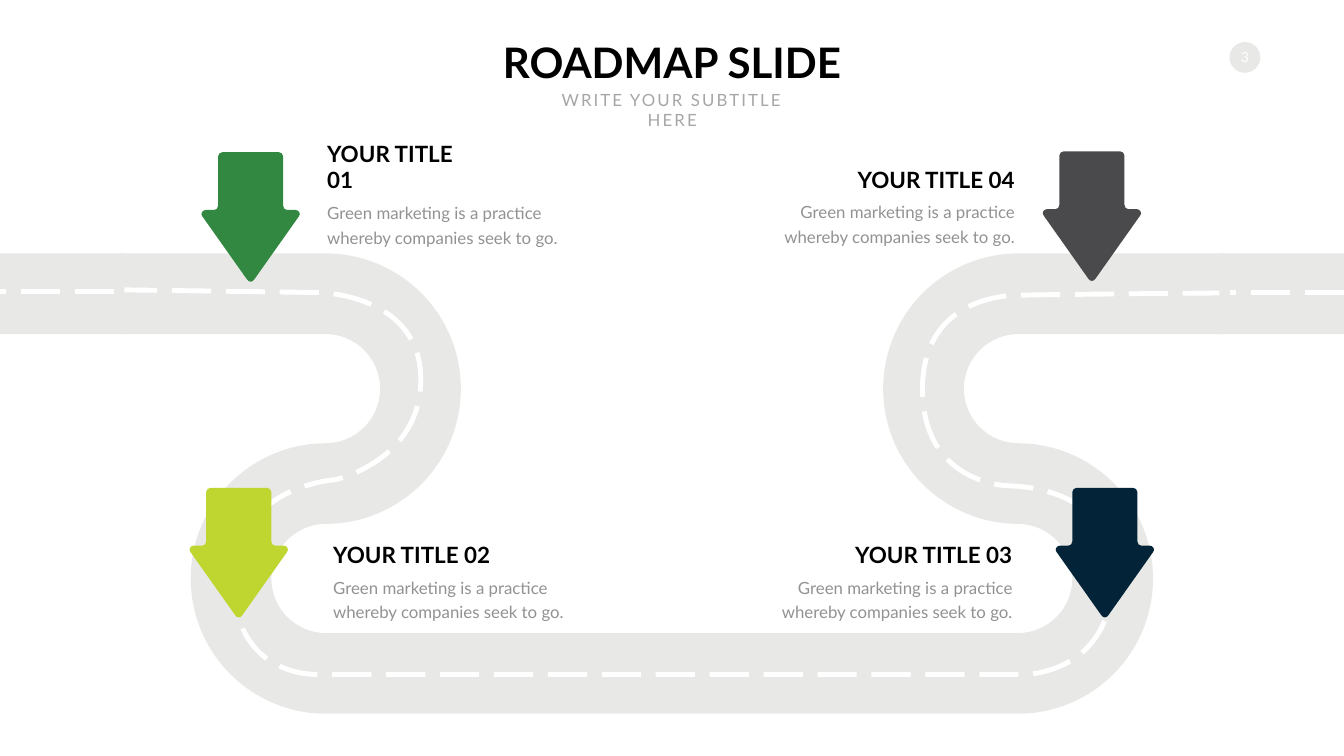
from math import cos, radians, sin, tan

from lxml import etree
from pptx import Presentation
from pptx.dml.color import RGBColor
from pptx.enum.dml import MSO_LINE
from pptx.enum.shapes import MSO_CONNECTOR, MSO_SHAPE
from pptx.enum.text import MSO_ANCHOR, PP_ALIGN
from pptx.oxml.ns import qn
from pptx.util import Pt

LEFT, MID, RIGHT = PP_ALIGN.LEFT, PP_ALIGN.CENTER, PP_ALIGN.RIGHT
TOP, CENTER, BOTTOM = MSO_ANCHOR.TOP, MSO_ANCHOR.MIDDLE, MSO_ANCHOR.BOTTOM
DASH = MSO_LINE.LONG_DASH
STRAIGHT = MSO_CONNECTOR.STRAIGHT
RECT, OVAL = MSO_SHAPE.RECTANGLE, MSO_SHAPE.OVAL


class Theme:
    font = "Lato"
    road, white, black = "E8E9E6", "FFFFFF", "000000"
    sub, body = "A6A6A6", "929294"
    green, lime, navy, gray = "328840", "BED62F", "022338", "4A4A4C"
    title_pt, head_pt, text_pt, page_pt = 60, 32, 24, 20
    dash_pt = 7


def trace(points, kinds, closed):
    """Draw a path; each kind is 1 for a line or 3 for a cubic curve."""
    spots = [(Pt(x), Pt(y)) for x, y in points]
    pen = slide.shapes.build_freeform(*spots[0], scale=1.0)
    pen.add_line_segments(spots[1:], close=closed)
    shape = pen.convert_to_shape()
    path = shape._element.find(".//" + qn("a:path"))
    lines = path.findall(qn("a:lnTo"))
    at = 0
    for kind in kinds:
        if kind == 3:
            curve = etree.Element(qn("a:cubicBezTo"))
            lines[at].addprevious(curve)
            for line in lines[at:at + 3]:
                curve.append(line[0])
                path.remove(line)
        at += kind
    return shape


def write(shape, text, size, color, align, anchor=TOP, bold=False):
    frame = shape.text_frame
    frame.word_wrap = True
    frame.vertical_anchor = anchor
    para = frame.paragraphs[0]
    para.alignment = align
    run = para.add_run()
    run.text = text
    run.font.name = Theme.font
    run.font.size = Pt(size)
    run.font.bold = bold
    run.font.color.rgb = RGBColor.from_string(color)
    return para


deck = Presentation()
deck.slide_width, deck.slide_height = Pt(1919.5), Pt(1080)
slide = deck.slides.add_slide(deck.slide_layouts[5])
shapes = slide.shapes

# Title, subtitle and page badge
title = shapes.title
title.left, title.top, title.width, title.height = Pt(708.5), Pt(48), Pt(502.5), Pt(80)
write(title, "ROADMAP SLIDE", Theme.title_pt, Theme.black, MID, CENTER, True)
sub = shapes.add_textbox(Pt(764.6), Pt(124.2), Pt(391), Pt(36))
para = write(sub, "WRITE YOUR SUBTITLE HERE", Theme.text_pt, Theme.sub, MID)
para.runs[0].font._element.set("spc", "300")

badge = shapes.add_shape(OVAL, Pt(1756), Pt(60), Pt(44), Pt(44))
badge.text_frame.margin_left = badge.text_frame.margin_right = 0
write(badge, "3", Theme.page_pt, Theme.white, MID, CENTER)
solids = [(badge, Theme.road)]

# Road outline: there along one edge, back along the other
high, low, wide, tight = 555.2, 826.4, 193.2, 78
start, end = 168.5, 1750.5
bends = [
    (465, high, wide, -90, 90), (465.6, low, tight, 270, 90),
    (1453.6, low, tight, 90, -90), (1454.6, high, wide, 90, 270),
    (1454.6, high, tight, 270, 90), (1453.6, low, wide, -90, 90),
    (465.6, low, wide, 90, 270), (465, high, tight, 90, -90),
]
parts = 8
road, kinds = [(start, high - wide)], []
for i, (cx, cy, r, a, b) in enumerate(bends):
    if i == 4:
        road += [(end, high - wide), (end, high - tight)]
        kinds += [1, 1]
    step = radians(b - a) / parts
    reach = 4 / 3 * tan(step / 4)
    road.append((cx + r * cos(radians(a)), cy + r * sin(radians(a))))
    kinds += [1] + [3] * parts
    for n in range(parts):
        p = radians(a) + n * step
        q = p + step
        for c, s in [(cos(p) - reach * sin(p), sin(p) + reach * cos(p)),
                     (cos(q) + reach * sin(q), sin(q) - reach * cos(q)),
                     (cos(q), sin(q))]:
            road.append((cx + r * c, cy + r * s))
road.append((start, high - tight))
kinds.append(1)
solids.append((trace(road, kinds, True), Theme.road))

# Centre line: each row holds two handles and an end point
lane = [
    (168.5, 414),
    (169, 414), (461.5, 418), (462, 418),
    (463, 419), (600.5, 423), (601, 541.5),
    (601, 659), (478, 685.5), (478, 685.5),
    (478, 685), (331, 696), (333.5, 831.5),
    (335.5, 967.5), (450.5, 963.5), (452, 963.5),
    (454.5, 963.5), (1461, 963.5), (1464.5, 963.5),
    (1467.5, 963.5), (1587.5, 960.5), (1589, 824.5),
    (1590.5, 688.5), (1440, 695), (1438.5, 694),
    (1437.5, 693.5), (1317, 691), (1317.5, 554.5),
    (1318.5, 418.5), (1451.5, 422), (1453, 422),
    (1453.5, 421), (1751, 418.5), (1751, 418.5),
]
mark = trace(lane, [3] * (len(lane) // 3), False)
mark.fill.background()
mark.shadow.inherit = False
dashed = [mark]

# Arrow: right half, tip, then the mirrored half
half = [
    (40.5, 0), (43.5, 0), (46.5, 2.5), (46.5, 6),
    (46.5, 76.5), (46.5, 80), (49, 82.5), (52, 82.5),
    (64, 82.5), (69, 82.5), (72, 88), (69, 91.5),
    (5, 182),
]
arrow = half + [(2.5, 186), (-2.5, 186)] + [(-x, y) for x, y in reversed(half)]
turns = [3, 1] * 3 + [3] + [1, 3] * 3

# Stops: arrow centre and top, colour, label, text edge, body top, head width, side
stops = [
    (358, 217.5, Theme.green, "YOUR TITLE 01", 460.2, 279.8, 232.5, LEFT),
    (341, 697, Theme.lime, "YOUR TITLE 02", 468.8, 815.5, 239, LEFT),
    (1578, 697, Theme.navy, "YOUR TITLE 03", 1453, 815.5, 240.5, RIGHT),
    (1559.5, 216.3, Theme.gray, "YOUR TITLE 04", 1456.5, 278.6, 242.5, RIGHT),
]
for cx, top, color, *rest in stops:
    shape = trace([(cx + x, top + y) for x, y in arrow], turns, True)
    solids.append((shape, color))

# Road ends that reach the slide's sides
for x in (1741.7, 0):
    shape = shapes.add_shape(RECT, Pt(x), Pt(362), Pt(177.8), Pt(115.2))
    solids.append((shape, Theme.road))
for x, to, y in [(162.7, 0, 416), (1919.5, 1756.8, 417.6)]:
    line = shapes.add_connector(STRAIGHT, Pt(x), Pt(y), Pt(to), Pt(y))
    etree.SubElement(line._element.spPr, qn("a:effectLst"))
    dashed.append(line)

for shape, color in solids:
    shape.shadow.inherit = False
    shape.fill.solid()
    shape.fill.fore_color.rgb = RGBColor.from_string(color)
    shape.line.fill.background()
for shape in dashed:
    shape.line.color.rgb = RGBColor.from_string(Theme.white)
    shape.line.width = Pt(Theme.dash_pt)
    shape.line.dash_style = DASH

# Stop texts
note = "Green marketing is a practice whereby companies seek to go."
span = 350.6
for cx, top, color, label, side, y, width, align in stops:
    shift = 1 if align == RIGHT else 0
    body = shapes.add_textbox(Pt(side - shift * span), Pt(y), Pt(span), Pt(74))
    para = write(body, note, Theme.text_pt, Theme.body, align)
    para.line_spacing = Pt(35)
    head = shapes.add_textbox(Pt(side - shift * width), Pt(y - 46), Pt(width), Pt(46))
    write(head, label, Theme.head_pt, Theme.black, align, BOTTOM, True)

deck.save("out.pptx")
